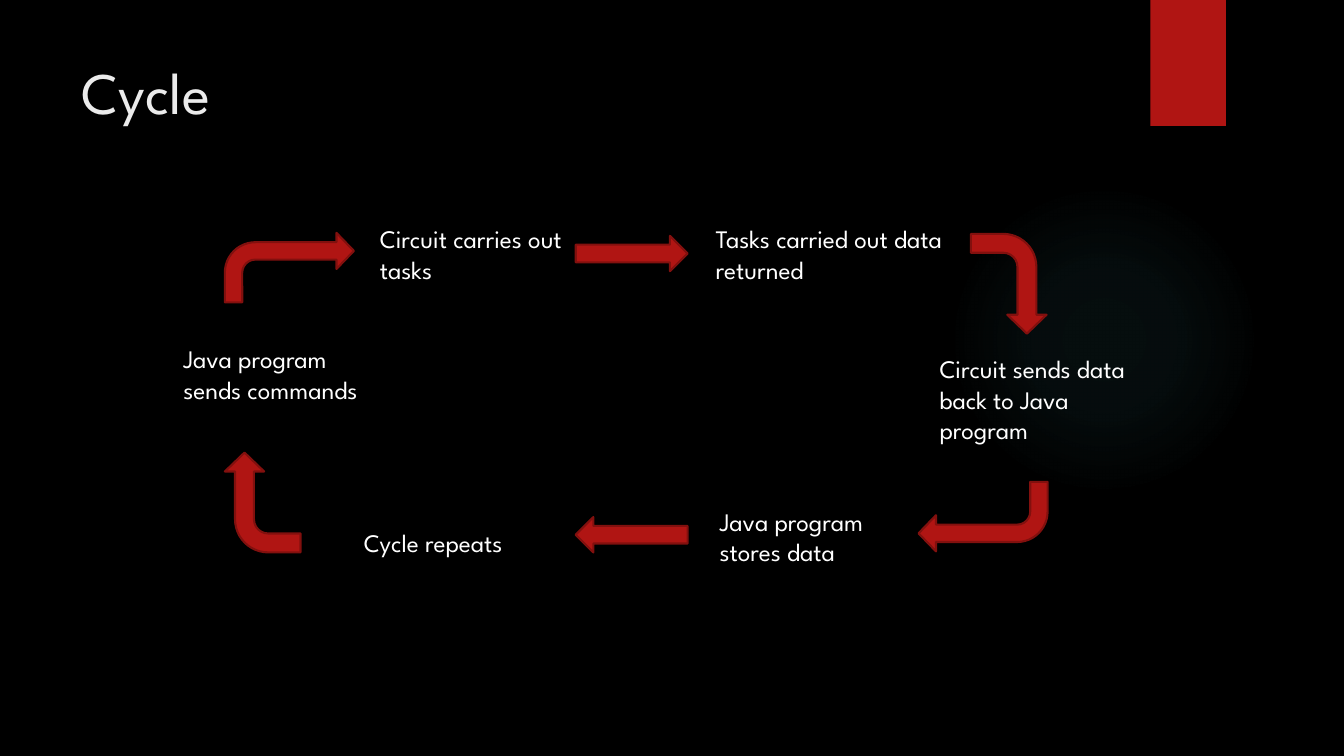
from lxml import etree
from pptx import Presentation
from pptx.dml.color import RGBColor
from pptx.enum.shapes import MSO_SHAPE
from pptx.enum.text import MSO_ANCHOR, MSO_AUTO_SIZE, PP_ALIGN
from pptx.oxml import parse_xml
from pptx.util import Inches, Pt

BENT, RIGHT, LEFT = MSO_SHAPE.BENT_ARROW, MSO_SHAPE.RIGHT_ARROW, MSO_SHAPE.LEFT_ARROW
FONT = "League Spartan"
BLACK, WHITE, TITLE_GREY = "000000", "FFFFFF", "EBEBEB"
RED, DARK_RED, GLOW = "B01513", "82100E", "50B9C1"
DRAWING = "http://schemas.openxmlformats.org/drawingml/2006/main"

# Content: the steps in cycle order, with left, top, width, height
TITLE = "Cycle"
STEPS = [
    ("Java program sends commands", (1.72, 3.36, 1.95, 1.01)),
    ("Circuit carries out tasks", (3.67, 2.17, 2.23, 0.71)),
    ("Tasks carried out data returned", (7, 2.17, 2.45, 0.71)),
    ("Circuit sends data back to Java program", (9.22, 3.46, 2.33, 1.01)),
    ("Java program stores data", (7.04, 4.97, 2.07, 0.71)),
    ("Cycle repeats", (3.51, 5.18, 1.92, 0.4)),
]
# Arrows: preset, rotation, left, top, width, height
ARROWS = [
    (BENT, 0, (2.23, 2.31, 1.28, 0.69)),
    (RIGHT, 0, (5.71, 2.34, 1.11, 0.35)),
    (BENT, 90, (9.51, 2.44, 0.99, 0.75)),
    (BENT, 180, (9.11, 4.78, 1.28, 0.69)),
    (LEFT, 0, (5.71, 5.13, 1.11, 0.35)),
    (BENT, 270, (2.11, 4.61, 0.99, 0.75)),
]
BENT_ADJUSTMENTS = (0.25, 0.26, 0.25, 0.438)
GLOW_STOPS = [(0, 7), (36, 6), (69, 0)]  # position and opacity in percent


def color(value):
    return RGBColor.from_string(value)


def inches(frame):
    return [Inches(length) for length in frame]


def add_shape(page, preset, frame, line=None):
    shape = page.shapes.add_shape(preset, *inches(frame))
    shape.shadow.inherit = False
    shape.fill.solid()
    shape.fill.fore_color.rgb = color(RED)
    if line:
        shape.line.color.rgb = color(line)
        shape.line.width = Pt(1.5)
    else:
        shape.line.fill.background()
    return shape


def add_glow(page):
    glow = add_shape(page, MSO_SHAPE.OVAL, (9.41, 1.83, 3.08, 3.08))
    stops = "".join(
        f'<a:gs pos="{position * 1000}"><a:srgbClr val="{GLOW}">'
        f'<a:alpha val="{opacity * 1000}"/></a:srgbClr></a:gs>'
        for position, opacity in GLOW_STOPS)
    gradient = parse_xml(
        f'<a:gradFill xmlns:a="{DRAWING}" rotWithShape="1"><a:gsLst>{stops}</a:gsLst>'
        '<a:path path="circle"><a:fillToRect l="50000" t="50000" r="50000" b="50000"/>'
        '</a:path></a:gradFill>')
    properties = glow.element.spPr
    solid = properties.find(etree.QName(DRAWING, "solidFill").text)
    properties.replace(solid, gradient)


def write(box, text, size, text_color):
    frame = box.text_frame
    frame.word_wrap = True
    frame.auto_size = MSO_AUTO_SIZE.NONE
    frame.vertical_anchor = MSO_ANCHOR.TOP
    para = frame.paragraphs[0]
    para.alignment = PP_ALIGN.LEFT
    span = para.add_run()
    span.text = text
    span.font.name = FONT
    span.font.size = Pt(size)
    span.font.color.rgb = color(text_color)


def main():
    deck = Presentation()
    deck.slide_width, deck.slide_height = Inches(13.33), Inches(7.5)
    page = deck.slides.add_slide(deck.slide_layouts[5])
    page.background.fill.solid()
    page.background.fill.fore_color.rgb = color(BLACK)

    # Backdrop glow and red tab
    add_glow(page)
    add_shape(page, MSO_SHAPE.RECTANGLE, (11.41, 0, 0.75, 1.25))

    # Title
    title = page.shapes.title
    title.left, title.top, title.width, title.height = inches((0.71, 0.5, 10.29, 1.53))
    write(title, TITLE, 42, TITLE_GREY)

    # Steps of the cycle
    for text, frame in STEPS:
        write(page.shapes.add_textbox(*inches(frame)), text, 18, WHITE)

    # Arrows between the steps
    for preset, rotation, frame in ARROWS:
        arrow = add_shape(page, preset, frame, DARK_RED)
        arrow.rotation = rotation
        if preset == BENT:
            for index, value in enumerate(BENT_ADJUSTMENTS):
                arrow.adjustments[index] = value

    deck.save("out.pptx")


if __name__ == "__main__":
    main()
